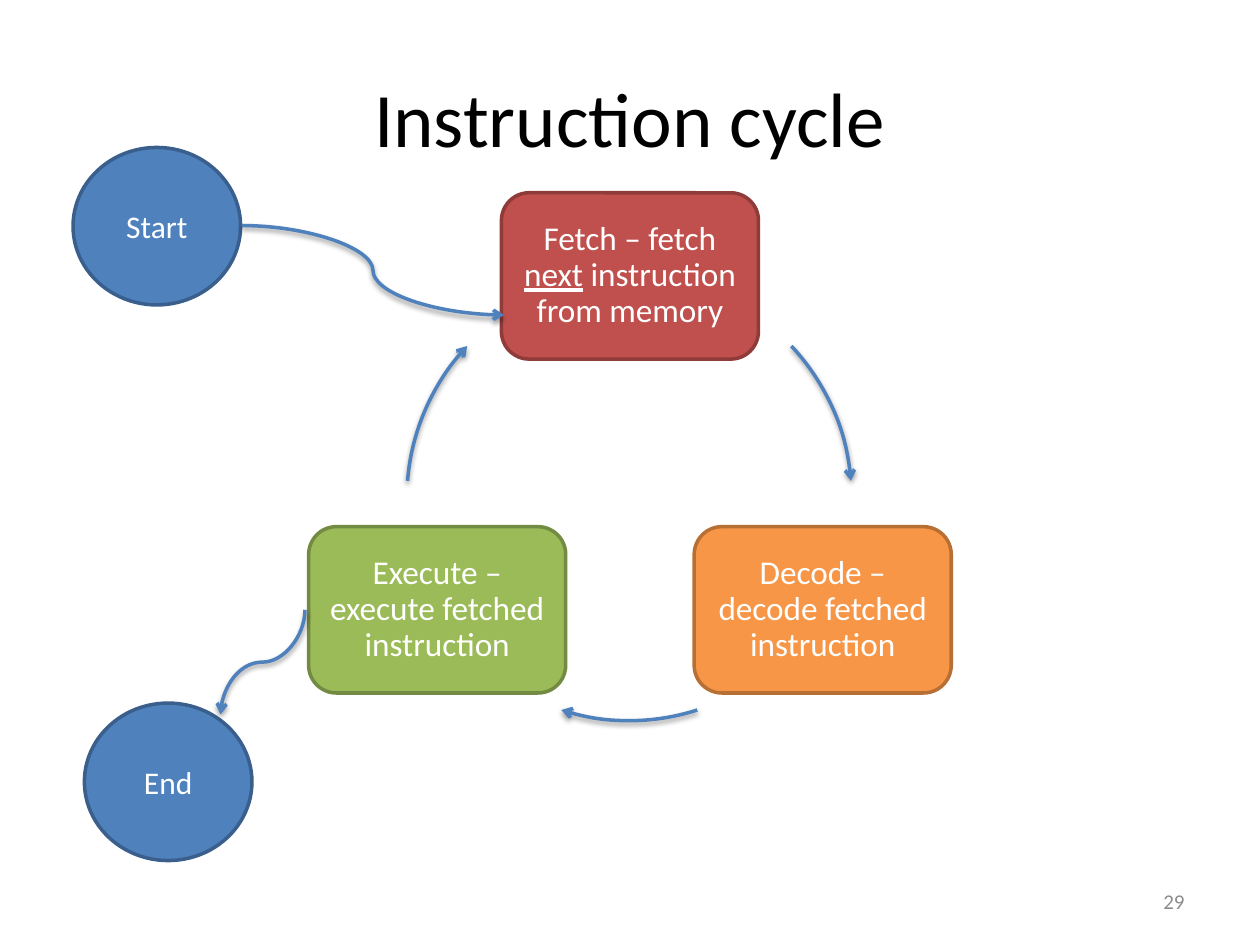
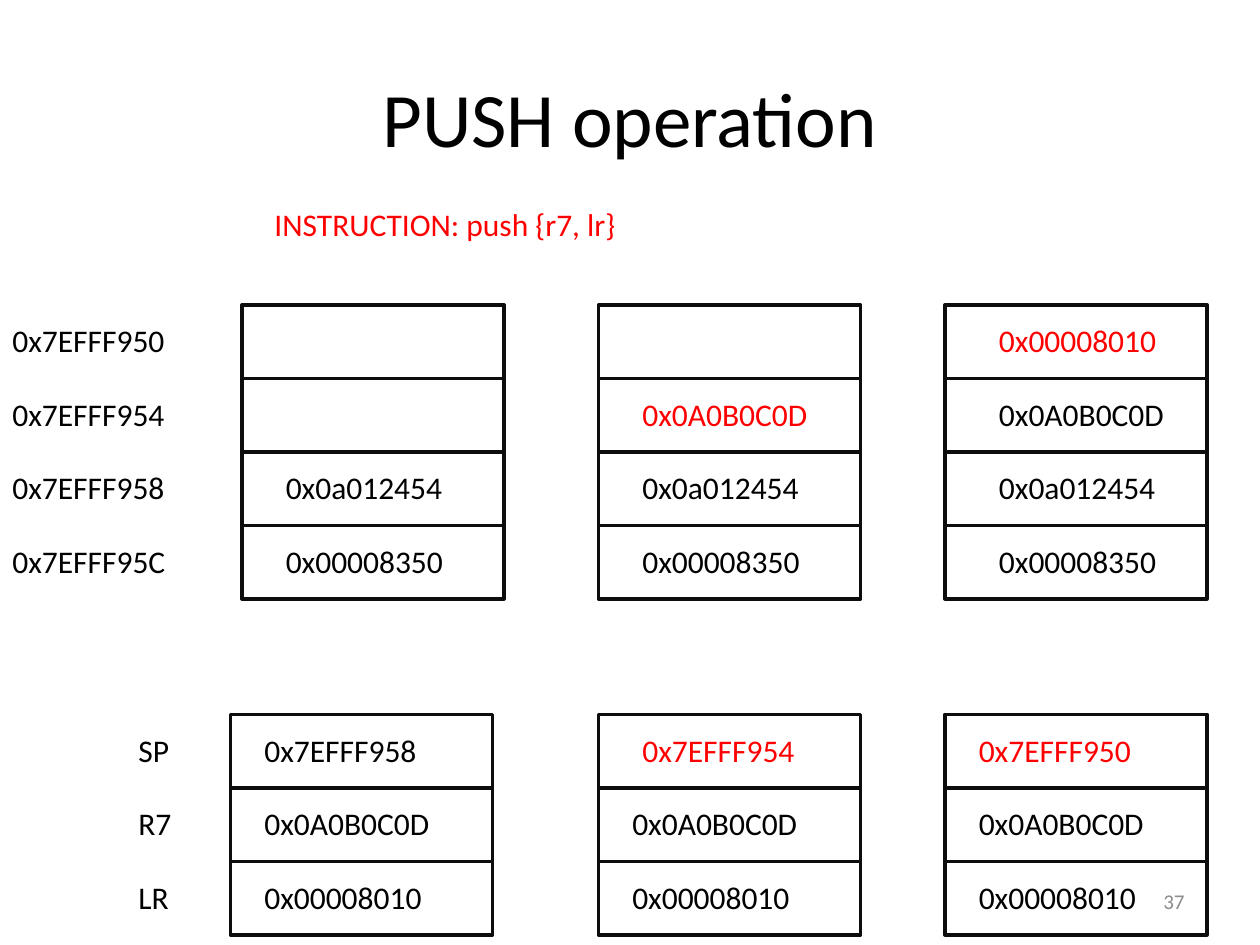
from lxml.etree import SubElement
from pptx import Presentation
from pptx.dml.color import RGBColor
from pptx.enum.shapes import MSO_CONNECTOR, MSO_SHAPE
from pptx.enum.text import MSO_ANCHOR, PP_ALIGN
from pptx.oxml.ns import qn
from pptx.util import Inches, Pt

FONT = "Calibri"
BLACK = RGBColor(0x00, 0x00, 0x00)
WHITE = RGBColor(0xFF, 0xFF, 0xFF)
RED = RGBColor(0xFF, 0x00, 0x00)
GREY = RGBColor(0x8C, 0x8C, 0x8C)
CELL_BORDER = RGBColor(0x0D, 0x0D, 0x0D)
BLUE = RGBColor(0x4F, 0x81, 0xBD)
DARK_BLUE = RGBColor(0x3A, 0x5F, 0x8C)
BRICK = RGBColor(0xC0, 0x50, 0x4D)
DARK_BRICK = RGBColor(0x8E, 0x3B, 0x39)
ORANGE = RGBColor(0xF7, 0x96, 0x46)
DARK_ORANGE = RGBColor(0xB7, 0x6F, 0x34)
GREEN = RGBColor(0x9B, 0xBB, 0x59)
DARK_GREEN = RGBColor(0x73, 0x8A, 0x42)


def write(shape, runs, size=18, color=BLACK, align=PP_ALIGN.LEFT, anchor=MSO_ANCHOR.TOP):
    """Fill the shape with one paragraph of (text, underlined) runs."""
    frame = shape.text_frame
    frame.word_wrap = True
    frame.vertical_anchor = anchor
    paragraph = frame.paragraphs[0]
    paragraph.alignment = align
    for text, underlined in runs:
        run = paragraph.add_run()
        run.text = text
        run.font.name = FONT
        run.font.size = Pt(size)
        run.font.color.rgb = color
        if underlined:
            run.font.underline = True
    return paragraph


def style_arrow(arrow):
    """Give a line its blue stroke, open arrowhead and soft shadow."""
    arrow.line.color.rgb = BLUE
    arrow.line.width = Pt(2)
    SubElement(arrow.line._get_or_add_ln(), qn("a:tailEnd"), type="arrow")
    effects = SubElement(arrow._element.spPr, qn("a:effectLst"))
    shadow = SubElement(effects, qn("a:outerShdw"), blurRad=str(Pt(3.1)),
                        dist=str(Pt(1.6)), dir="5400000", rotWithShape="0")
    shadow_color = SubElement(shadow, qn("a:srgbClr"), val="000000")
    SubElement(shadow_color, qn("a:alpha"), val="38000")


presentation = Presentation()
presentation.slide_width = Inches(10)
presentation.slide_height = Inches(7.5)

slides = []
for title_text, number in [("Instruction cycle", "29"), ("PUSH operation", "37")]:
    slide = presentation.slides.add_slide(presentation.slide_layouts[5])
    title = slide.shapes.title
    title.left, title.top = Inches(0.5), Inches(0.3)
    title.width, title.height = Inches(9), Inches(1.25)
    write(title, [(title_text, False)], 44, BLACK, PP_ALIGN.CENTER, MSO_ANCHOR.MIDDLE)
    number_box = slide.shapes.add_textbox(Inches(7.17), Inches(6.95), Inches(2.33), Inches(0.4))
    write(number_box, [(number, False)], 12, GREY, PP_ALIGN.RIGHT, MSO_ANCHOR.MIDDLE)
    slides.append(slide)
cycle_slide, push_slide = slides

# Instruction cycle: three steps and two end points
fetch = [("Fetch – fetch ", False), ("next", True), (" instruction from memory", False)]
decode = [("Decode – decode fetched instruction", False)]
execute = [("Execute – execute fetched instruction", False)]
step = (MSO_SHAPE.ROUNDED_RECTANGLE, 2.04, 1.32, 19)
end_point = (MSO_SHAPE.OVAL, 1.33, 1.25, 18)
nodes = [
    (step, 3.98, 1.53, fetch, BRICK, DARK_BRICK),
    (step, 5.51, 4.18, decode, ORANGE, DARK_ORANGE),
    (step, 2.45, 4.18, execute, GREEN, DARK_GREEN),
    (end_point, 0.58, 1.17, [("Start", False)], BLUE, DARK_BLUE),
    (end_point, 0.67, 5.58, [("End", False)], BLUE, DARK_BLUE),
]
for (kind, width, height, size), left, top, runs, fill, border in nodes:
    node = cycle_slide.shapes.add_shape(
        kind, Inches(left), Inches(top), Inches(width), Inches(height))
    node.shadow.inherit = False
    node.fill.solid()
    node.fill.fore_color.rgb = fill
    node.line.color.rgb = border
    node.line.width = Pt(2)
    paragraph = write(node, runs, size, WHITE, PP_ALIGN.CENTER, MSO_ANCHOR.MIDDLE)
    if kind == MSO_SHAPE.ROUNDED_RECTANGLE:
        paragraph.line_spacing = 0.9
        frame = node.text_frame
        frame.margin_left = frame.margin_right = Inches(0.08)
        frame.margin_top = frame.margin_bottom = Inches(0.08)

# Arcs on one circle, by start and end angle in degrees
for start, end in [(316.8, 355.5), (72.2, 107.8), (184.5, 223.2)]:
    arc = cycle_slide.shapes.add_shape(
        MSO_SHAPE.ARC, Inches(3.23), Inches(2.19), Inches(3.53), Inches(3.53))
    arc.fill.background()
    arc.adjustments[0] = start * 0.6
    arc.adjustments[1] = end * 0.6
    style_arrow(arc)

start_arrow = cycle_slide.shapes.add_connector(
    MSO_CONNECTOR.CURVE, Inches(1.92), Inches(1.79), Inches(4), Inches(2.5))
end_arrow = cycle_slide.shapes.add_connector(
    MSO_CONNECTOR.CURVE, Inches(1.67), Inches(4.92), Inches(2.5), Inches(5.59))
end_arrow._element.spPr.xfrm.set("rot", "5400000")
style_arrow(start_arrow)
style_arrow(end_arrow)

# PUSH operation: memory and registers before, during and after
instruction = push_slide.shapes.add_textbox(Inches(2.08), Inches(1.58), Inches(4.25), Inches(0.4))
write(instruction, [("INSTRUCTION: push {r7, lr}", False)], color=RED)

ROW_HEIGHT = 7 / 12
TEXT_DROP = 0.08
memory = [
    ("0x7EFFF950", ["", "", "0x00008010"]),
    ("0x7EFFF954", ["", "0x0A0B0C0D", "0x0A0B0C0D"]),
    ("0x7EFFF958", ["0x0a012454"] * 3),
    ("0x7EFFF95C", ["0x00008350"] * 3),
]
registers = [
    ("SP", ["0x7EFFF958", "0x7EFFF954", "0x7EFFF950"]),
    ("R7", ["0x0A0B0C0D"] * 3),
    ("LR", ["0x00008010"] * 3),
]
# Per block: rows, top, label left, cell lefts, text lefts, changed (row, column) cells
blocks = [
    (memory, 2.42, 0, [1.92, 4.75, 7.5], [2.17, 5, 7.83], {(1, 1), (0, 2)}),
    (registers, 5.67, 1, [1.83, 4.75, 7.5], [2, 4.92, 7.67], {(0, 1), (0, 2)}),
]
for rows, block_top, label_left, cell_lefts, text_lefts, changed in blocks:
    for row, (label, values) in enumerate(rows):
        top = block_top + row * ROW_HEIGHT
        texts = [(label_left, label, BLACK)]
        for column, value in enumerate(values):
            cell = push_slide.shapes.add_shape(
                MSO_SHAPE.RECTANGLE, Inches(cell_lefts[column]), Inches(top),
                Inches(2.08), Inches(ROW_HEIGHT))
            cell.shadow.inherit = False
            cell.fill.background()
            cell.line.color.rgb = CELL_BORDER
            cell.line.width = Pt(2)
            if value:
                text_left = 5 if value == "0x7EFFF954" else text_lefts[column]
                texts.append((text_left, value, RED if (row, column) in changed else BLACK))
        for left, text, color in texts:
            width = 0.5 if text == label else 1.67
            if text.startswith("0x"):
                width = 1.67
            box = push_slide.shapes.add_textbox(
                Inches(left), Inches(top + TEXT_DROP), Inches(width), Inches(0.4))
            write(box, [(text, False)], color=color)

presentation.save("out.pptx")
